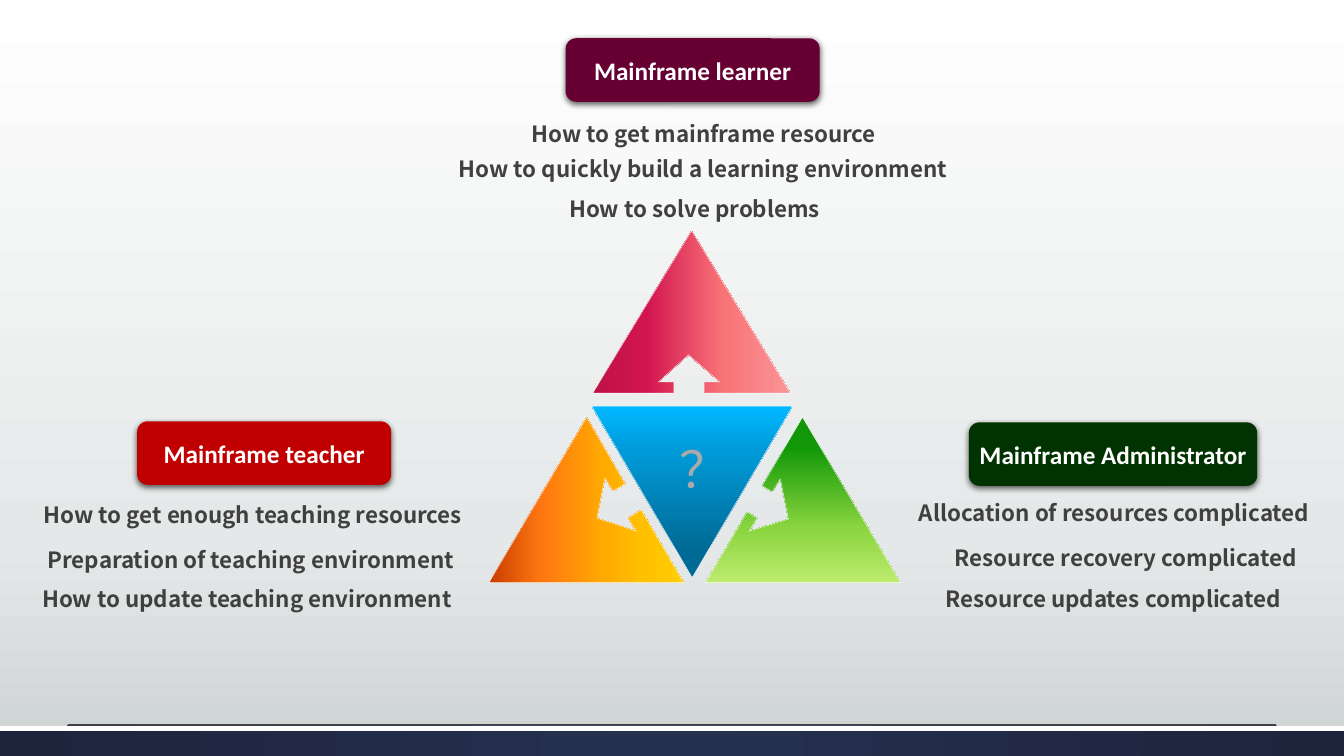
from lxml.etree import SubElement
from pptx import Presentation
from pptx.dml.color import RGBColor
from pptx.enum.shapes import MSO_CONNECTOR, MSO_SHAPE
from pptx.enum.text import MSO_ANCHOR, PP_ALIGN
from pptx.oxml.ns import qn
from pptx.util import Inches, Pt

WIDTH, HEIGHT = 13.33, 7.5
BADGE_HEIGHT, LINE_HEIGHT = 0.63, 0.37
BADGE_FONT = {"name": "Calibri", "size": Pt(18), "bold": True}
PROBLEM_FONT = {"name": "Noto Sans CJK SC", "size": Pt(16), "bold": True}
QUESTION_FONT = {"name": "Noto Sans CJK SC", "size": Pt(36), "bold": False}

# Each role: box left and top, badge (title, colour, offset, width),
# problems (text, offset across, offset down, width)
ROLES = [
    (4.36, 0.38, ("Mainframe learner", "660033", 1.25, 2.52), [
        ("How to get mainframe resource", 0.58, 0.76, 4.08),
        ("How to quickly build a learning environment", 0, 1.11, 5.23),
        ("How to solve problems", 0.92, 1.51, 3.22)]),
    (0.23, 4.18, ("Mainframe teacher", "C00000", 1.13, 2.52), [
        ("How to get enough teaching resources", 0, 0.74, 4.56),
        ("Preparation of teaching environment", 0.07, 1.19, 4.38),
        ("How to update teaching environment", 0, 1.58, 4.44)]),
    (8.89, 4.19, ("Mainframe Administrator", "003300", 0.72, 2.86), [
        ("Allocation of resources complicated", 0, 0.71, 4.32),
        ("Resource recovery complicated", 0.36, 1.16, 3.84),
        ("Resource updates complicated", 0.29, 1.57, 3.72)]),
]

# Outlines in hundredths of an inch from the corner of the diagram
OUTER_TRIANGLES = [
    ([(201, 0), (299, 161), (214, 161), (214, 150), (229, 150),
      (198, 123), (168, 150), (183, 150), (183, 161), (103, 161)],
     [(0, "BE1247"), (27, "D2144F"), (66, "F87477"), (100, "FA9496")], 0),
    ([(311, 185), (408, 349), (215, 349), (256, 279), (266, 285),
      (258, 298), (297, 286), (289, 246), (281, 259), (271, 253)],
     [(0, "119707"), (18, "119707"), (67, "8AD53F"), (100, "BCEB6F")], 90),
    ([(97, 185), (135, 251), (123, 258), (115, 245), (107, 285),
      (146, 298), (138, 285), (151, 277), (193, 349), (0, 349)],
     [(0, "C73E01"), (27, "FF7711"), (59, "FFAA01"), (80, "FFC000"),
      (100, "FECE02")], 0),
]
CENTRE_STOPS = [(0, "006A96"), (17, "006A96"), (74, "009AD9"), (100, "00B8FF")]
BACKGROUND_STOPS = [(0, "FFFFFF"), (72, "E5E8E8"), (100, "CDD2D2")]
FOOTER_STOPS = [(0, "263050"), (100, "1D243C")]


def colour(value):
    return RGBColor.from_string(value)


def add(parent, tag, **attributes):
    """Append an XML child with the given attributes."""
    return SubElement(parent, qn(tag),
                      {key: str(value) for key, value in attributes.items()})


def set_gradient(fill, owner, stops, angle=None):
    """Fill the owner with a linear gradient, or a radial one without angle."""
    fill.gradient()
    gradient = owner.element.find(".//" + qn("a:gradFill"))
    for child in list(gradient):
        gradient.remove(child)
    gradient.set("rotWithShape", "1")
    stop_list = add(gradient, "a:gsLst")
    for position, value in stops:
        stop = add(stop_list, "a:gs", pos=position * 1000)
        add(stop, "a:srgbClr", val=value)
    if angle is None:
        radial = add(gradient, "a:path", path="circle")
        add(radial, "a:fillToRect", l=50000, t=50000, r=50000, b=50000)
    else:
        add(gradient, "a:lin", ang=angle * 60000, scaled=0)


def add_block(slide, preset, left, top, width, height, fill=None):
    block = slide.shapes.add_shape(preset, Inches(left), Inches(top),
                                   Inches(width), Inches(height))
    block.shadow.inherit = False
    block.line.fill.background()
    if fill:
        block.fill.solid()
        block.fill.fore_color.rgb = colour(fill)
    return block


def write(frame, text, font_format, font_colour):
    paragraph = frame.paragraphs[0]
    paragraph.alignment = PP_ALIGN.CENTER
    run = paragraph.add_run()
    run.text = text
    for key, value in font_format.items():
        setattr(run.font, key, value)
    run.font.color.rgb = colour(font_colour)
    east_asian = add(run.font._element, "a:ea", typeface=font_format["name"])
    run.font._element.find(qn("a:latin")).addnext(east_asian)


def add_label(slide, text, left, top, width, height, font_format,
              font_colour, wrap=True):
    label = slide.shapes.add_textbox(Inches(left), Inches(top),
                                     Inches(width), Inches(height))
    label.text_frame.word_wrap = wrap
    write(label.text_frame, text, font_format, font_colour)


def add_badge(slide, title, fill, left, top, width):
    badge = add_block(slide, MSO_SHAPE.ROUNDED_RECTANGLE, left, top,
                      width, BADGE_HEIGHT, fill)
    effects = badge.element.spPr.find(qn("a:effectLst"))
    shadow = add(effects, "a:outerShdw", blurRad=Pt(4.5), dist=Pt(1.5),
                 dir=5400000, algn="ctr", rotWithShape=0)
    add(add(shadow, "a:srgbClr", val="000000"), "a:alpha", val=63000)
    badge.text_frame.word_wrap = False
    badge.text_frame.vertical_anchor = MSO_ANCHOR.MIDDLE
    write(badge.text_frame, title, BADGE_FONT, "FFFFFF")


def add_role(slide, left, top, badge, problems):
    """Place a role's badge and its problems below it."""
    title, fill, badge_offset, badge_width = badge
    add_badge(slide, title, fill, left + badge_offset, top, badge_width)
    for text, across, down, width in problems:
        add_label(slide, text, left + across, top + down, width, LINE_HEIGHT,
                  PROBLEM_FONT, "404040")


def outline(shape):
    shape.line.color.rgb = colour("FFFFFF")
    shape.line.width = Pt(0.25)


def add_diagram(slide, left, top):
    """Place three notched triangles around the inverted central one."""
    for points, stops, angle in OUTER_TRIANGLES:
        builder = slide.shapes.build_freeform(*points[0], scale=Inches(0.01))
        builder.add_line_segments(points[1:], close=True)
        triangle = builder.convert_to_shape(Inches(left), Inches(top))
        triangle.shadow.inherit = False
        set_gradient(triangle.fill, triangle, stops, angle)
        outline(triangle)
    centre = add_block(slide, MSO_SHAPE.ISOSCELES_TRIANGLE,
                       left + 1.02, top + 1.74, 1.99, 1.7)
    centre.rotation = 180
    set_gradient(centre.fill, centre, CENTRE_STOPS, 90)
    outline(centre)
    add_label(slide, "？", left + 1.79, top + 2.01, 0.5, 0.57,
              QUESTION_FONT, "AAAAAA", wrap=False)


def add_footer(slide, top, width, height):
    band = add_block(slide, MSO_SHAPE.RECTANGLE, 0, top, width, height)
    set_gradient(band.fill, band, FOOTER_STOPS)
    add_block(slide, MSO_SHAPE.RECTANGLE, 0, top, width, 0.05, "FFFFFF")
    margin, rule_top = Inches(0.67), Inches(top - 0.01)
    rule = slide.shapes.add_connector(MSO_CONNECTOR.STRAIGHT, margin, rule_top,
                                      Inches(width) - margin, rule_top)
    rule.line.color.rgb = colour("404040")
    rule.line.width = Pt(0.5)
    add(rule.element.spPr, "a:effectLst")


def main():
    presentation = Presentation()
    presentation.slide_width = Inches(WIDTH)
    presentation.slide_height = Inches(HEIGHT)
    slide = presentation.slides.add_slide(presentation.slide_layouts[6])
    set_gradient(slide.background.fill, slide, BACKGROUND_STOPS, 90)
    add_footer(slide, 7.2, WIDTH, 0.3)
    add_diagram(slide, 4.85, 2.29)
    for role in ROLES:
        add_role(slide, *role)
    presentation.save("out.pptx")


if __name__ == "__main__":
    main()
